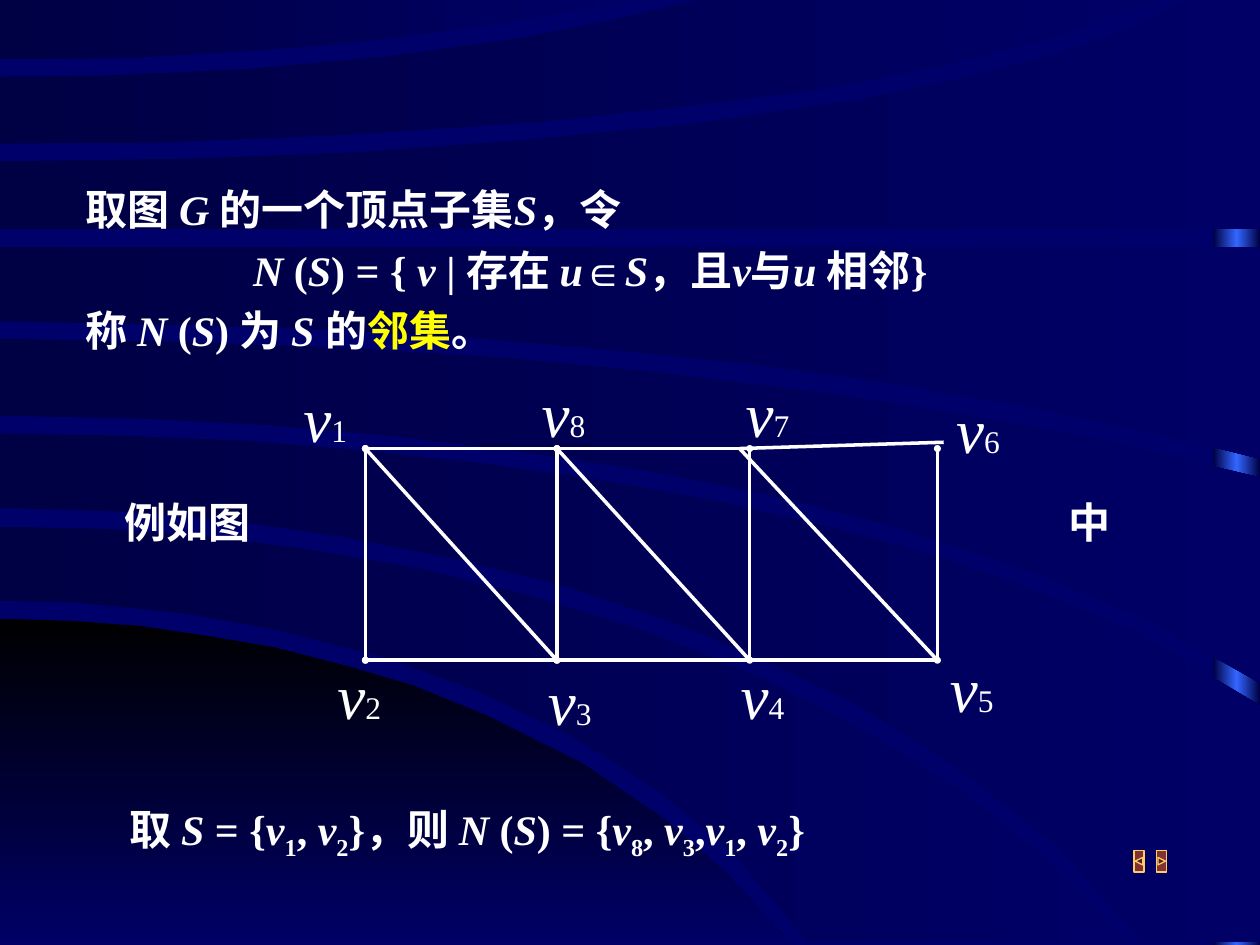
from copy import deepcopy
from dataclasses import dataclass
from typing import NamedTuple

from lxml import etree
from pptx import Presentation, util as u
from pptx.dml.color import RGBColor
from pptx.enum import shapes, text
from pptx.oxml.ns import qn


@dataclass(frozen=True)
class Theme:
    font: str = "Times New Roman"
    white: str = "FFFFFF"
    highlight: str = "FFFF00"
    background: str = "00006A"
    band: tuple = ("000044", "000066")
    glow: tuple = ("000044", "3366FF", "000044")
    corner: tuple = ("000000", "000066")
    button: str = "FF6600"
    button_line: str = "FFCC66"
    body: int = 24
    vertex: int = 36
    index: int = 18


class Edge(NamedTuple):
    start: tuple
    end: tuple
    dots: bool = False


class VertexLabel(NamedTuple):
    index: str
    left: float
    top: float


class Caption(NamedTuple):
    left: float
    top: float
    width: float
    height: float
    lines: tuple
    wrap: bool = False
    spacing: float = 1.0
    indents: tuple = (0,)


class Band(NamedTuple):
    upper: tuple
    lower: tuple


THEME = Theme()

CORNER = ((0, 4.91), (0.61, 4.93), (1.12, 4.97), (1.65, 5.05), (2.18, 5.14), (2.76, 5.29),
          (3.27, 5.44), (3.86, 5.68), (4.62, 6.06), (5.28, 6.51), (5.77, 6.94), (6.28, 7.5),
          (0, 7.5))

# Each edge runs from left to right.
BANDS = (
    Band(((0, 4.18), (0.87, 4.2), (1.66, 4.26), (2.49, 4.37), (3.35, 4.52), (4.28, 4.75),
          (5.15, 5.02), (6.06, 5.39), (6.87, 5.81), (7.66, 6.3), (8.33, 6.85), (8.93, 7.48)),
         ((0, 4.77), (0.59, 4.78), (1.48, 4.87), (2.21, 5), (3.06, 5.22), (3.76, 5.47),
          (4.54, 5.84), (5.23, 6.28), (5.82, 6.77), (6.42, 7.48))),
    Band(((0, 3.44), (0.97, 3.46), (1.95, 3.5), (2.89, 3.58), (3.84, 3.68), (4.74, 3.81),
          (5.7, 3.98), (6.56, 4.18), (7.38, 4.4), (8.18, 4.68), (9.04, 5.03), (10, 5.6)),
         ((0, 4.03), (0.97, 4.06), (1.83, 4.13), (2.67, 4.25), (3.6, 4.43), (4.42, 4.63),
          (5.21, 4.89), (5.97, 5.19), (6.78, 5.58), (7.56, 6.06), (8.38, 6.7), (9.09, 7.48),
          (10, 7.48))),
    Band(((0, 2.69), (1.24, 2.71), (2.65, 2.76), (3.99, 2.84), (5.23, 2.96), (6.62, 3.13),
          (7.68, 3.3), (8.59, 3.46), (10, 3.79)),
         ((0, 3.3), (1.09, 3.32), (2.11, 3.37), (3.03, 3.45), (4.06, 3.57), (5.12, 3.73),
          (6.1, 3.92), (7.11, 4.18), (8.17, 4.52), (9.12, 4.92), (10, 5.42))),
    Band(((0, 1.96), (10, 1.96)),
         ((0, 2.55), (1.47, 2.58), (2.78, 2.62), (3.89, 2.69), (5.02, 2.79), (6.07, 2.9),
          (7.02, 3.03), (8.13, 3.22), (9.15, 3.43), (10, 3.64))),
    Band(((0, 1.28), (1.57, 1.26), (2.86, 1.21), (4.2, 1.11), (5.54, 0.98), (6.84, 0.79),
          (7.71, 0.61), (8.35, 0.44), (8.92, 0.25), (9.43, 0), (10, 0)),
         ((0, 1.82), (10, 1.82))),
    Band(((0, 0.61), (0.87, 0.6), (1.97, 0.55), (3.08, 0.45), (4.16, 0.3), (4.82, 0.17),
          (5.56, 0), (9.17, 0)),
         ((0, 1.14), (1.26, 1.13), (2.7, 1.07), (4.25, 0.97), (5.45, 0.84), (6.48, 0.71),
          (7.41, 0.53), (8.3, 0.31), (9.17, 0))),
    Band(((0, 0), (5.01, 0)),
         ((0, 0.47), (1.01, 0.46), (2.02, 0.4), (2.89, 0.33), (3.99, 0.18), (5.01, 0))),
)

# Markup: *italic*, _subscript_, ^highlight^
CAPTIONS = (
    Caption(0.58, 1.33, 8.71, 1.54,
            ("取图 *G *的一个顶点子集*S*，令",
             "*N *(*S*) = {* v *| 存在 *u*∈*S*，且*v*与*u *相邻}",
             "称 *N *(*S*) 为 *S *的^邻集^。"),
            wrap=True, spacing=1.2, indents=(0, 1.33, 0)),
    Caption(0.93, 6.33, 5.8, 0.56,
            ("取 *S *= {*v*_1_,* v*_2_}，则 *N *(*S*) = {*v*_8_,* v*_3_,*v*_1_,* v*_2_}",)),
    Caption(0.89, 3.89, 1.2, 0.5, ("例如图",)),
    Caption(8.38, 3.89, 0.53, 0.5, ("中",)),
)

TOP, BOTTOM = 3.56, 5.24
COLUMNS = (2.9, 4.42, 5.95, 7.44)
A, B, C, D = COLUMNS
JOINT = 5.87
EDGES = (
    *(Edge((x, y), (x_next, y), True) for x, x_next in ((A, B), (B, C)) for y in (BOTTOM, TOP)),
    *(Edge((x, TOP), (x, BOTTOM), x in (A, D)) for x in COLUMNS),
    *(Edge((x, TOP), (x_next, BOTTOM)) for x, x_next in ((A, B), (B, C), (JOINT, D))),
    Edge((JOINT, TOP), (7.49, 3.51)),
    Edge((JOINT, BOTTOM), (D, BOTTOM)),
)
VERTICES = (
    VertexLabel("1", 2.31, 2.96), VertexLabel("2", 2.58, 5.16), VertexLabel("3", 4.25, 5.21),
    VertexLabel("4", 5.78, 5.16), VertexLabel("8", 4.2, 2.92), VertexLabel("5", 7.44, 5.11),
    VertexLabel("7", 5.82, 2.92), VertexLabel("6", 7.49, 3.05),
)


def paint_gradient(shape, colours: tuple, angle: int = 0) -> None:
    """Fill with evenly spaced colours, without outline or shadow."""
    shape.shadow.inherit = False
    shape.line.fill.background()
    shape.fill.gradient()
    shape.fill.gradient_angle = angle
    stop_list = shape._element.spPr.find(qn("a:gradFill")).find(qn("a:gsLst"))
    while len(stop_list) < len(colours):
        stop_list.append(deepcopy(stop_list[-1]))
    for i, (stop, colour) in enumerate(zip(shape.fill.gradient_stops, colours)):
        stop.position = i / (len(colours) - 1)
        stop.color.rgb = RGBColor.from_string(colour)


def add_outline(slide, points: tuple):
    start, *rest = [(u.Inches(x), u.Inches(y)) for x, y in points]
    builder = slide.shapes.build_freeform(*start)
    builder.add_line_segments(rest, close=True)
    return builder.convert_to_shape()


def add_backdrop(slide) -> None:
    slide.background.fill.solid()
    slide.background.fill.fore_color.rgb = RGBColor.from_string(THEME.background)
    glow = slide.shapes.add_shape(shapes.MSO_SHAPE.RECTANGLE, u.Inches(9.63), 0,
                                  u.Inches(0.37), u.Inches(7.5))
    paint_gradient(glow, THEME.glow)
    paint_gradient(add_outline(slide, CORNER), THEME.corner, 270)
    for band in BANDS:
        paint_gradient(add_outline(slide, band.upper + band.lower[::-1]), THEME.band)


def add_run(paragraph, content: str, size: int, colour: str = THEME.white, **formats) -> None:
    run = paragraph.add_run()
    run.text = content
    run.font.color.rgb = RGBColor.from_string(colour)
    for name, value in {"name": THEME.font, "size": u.Pt(size), **formats}.items():
        setattr(run.font, name, value)


def add_marked_text(paragraph, marked: str) -> None:
    """Turn the *, _ and ^ markup into formatted runs."""
    mark = ""
    for char in "*_^":
        marked = marked.replace(char, f"\n{char}\n")
    for piece in marked.split("\n"):
        if piece and piece in "*_^":
            mark = "" if mark else piece
        elif piece:
            colour = THEME.highlight if mark == "^" else THEME.white
            add_run(paragraph, piece, THEME.body, colour, bold=True, italic=mark == "*")
            if mark == "_":
                paragraph.runs[-1].font._element.set("baseline", "-25000")


def add_caption(slide, caption: Caption) -> None:
    box = slide.shapes.add_textbox(*map(u.Inches, caption[:4]))
    frame = box.text_frame
    frame.word_wrap = caption.wrap
    frame.auto_size = text.MSO_AUTO_SIZE.SHAPE_TO_FIT_TEXT
    for i, (line, indent) in enumerate(zip(caption.lines, caption.indents)):
        paragraph = frame.add_paragraph() if i else frame.paragraphs[0]
        paragraph.line_spacing = caption.spacing
        if indent:
            paragraph._p.get_or_add_pPr().set("marL", str(u.Inches(indent)))
        add_marked_text(paragraph, line)


def add_edge(slide, edge: Edge) -> None:
    line = slide.shapes.add_connector(shapes.MSO_CONNECTOR.STRAIGHT,
                                      *map(u.Inches, edge.start + edge.end))
    line.line.color.rgb = RGBColor.from_string(THEME.white)
    line.line.width = u.Pt(2)
    if edge.dots:
        for tag in ("a:headEnd", "a:tailEnd"):
            etree.SubElement(line.line._get_or_add_ln(), qn(tag), type="oval", w="sm", len="sm")
    etree.SubElement(line._element.spPr, qn("a:effectLst"))


def add_vertex_label(slide, label: VertexLabel) -> None:
    box = slide.shapes.add_textbox(u.Inches(label.left), u.Inches(label.top),
                                   u.Inches(0.63), u.Inches(0.7))
    box.text_frame.word_wrap = True
    paragraph = box.text_frame.paragraphs[0]
    add_run(paragraph, "v", THEME.vertex, italic=True)
    add_run(paragraph, label.index, THEME.index)


def add_button(slide, kind: shapes.MSO_SHAPE, left: float) -> None:
    button = slide.shapes.add_shape(kind, u.Inches(left), u.Inches(6.75),
                                    u.Inches(0.08), u.Inches(0.17))
    button.shadow.inherit = False
    button.fill.solid()
    button.fill.fore_color.rgb = RGBColor.from_string(THEME.button)
    colour = button._element.spPr.find(qn("a:solidFill"))[0]
    etree.SubElement(colour, qn("a:alpha"), val="50000")
    button.line.color.rgb = RGBColor.from_string(THEME.button_line)
    button.line.width = u.Pt(0.75)


def main() -> None:
    deck = Presentation()
    deck.slide_width, deck.slide_height = u.Inches(10), u.Inches(7.5)
    slide = deck.slides.add_slide(deck.slide_layouts[6])
    add_backdrop(slide)
    for caption in CAPTIONS:
        add_caption(slide, caption)
    for edge in EDGES:
        add_edge(slide, edge)
    for label in VERTICES:
        add_vertex_label(slide, label)
    add_button(slide, shapes.MSO_SHAPE.ACTION_BUTTON_BACK_OR_PREVIOUS, 9)
    add_button(slide, shapes.MSO_SHAPE.ACTION_BUTTON_FORWARD_OR_NEXT, 9.18)
    deck.save("out.pptx")


if __name__ == "__main__":
    main()
